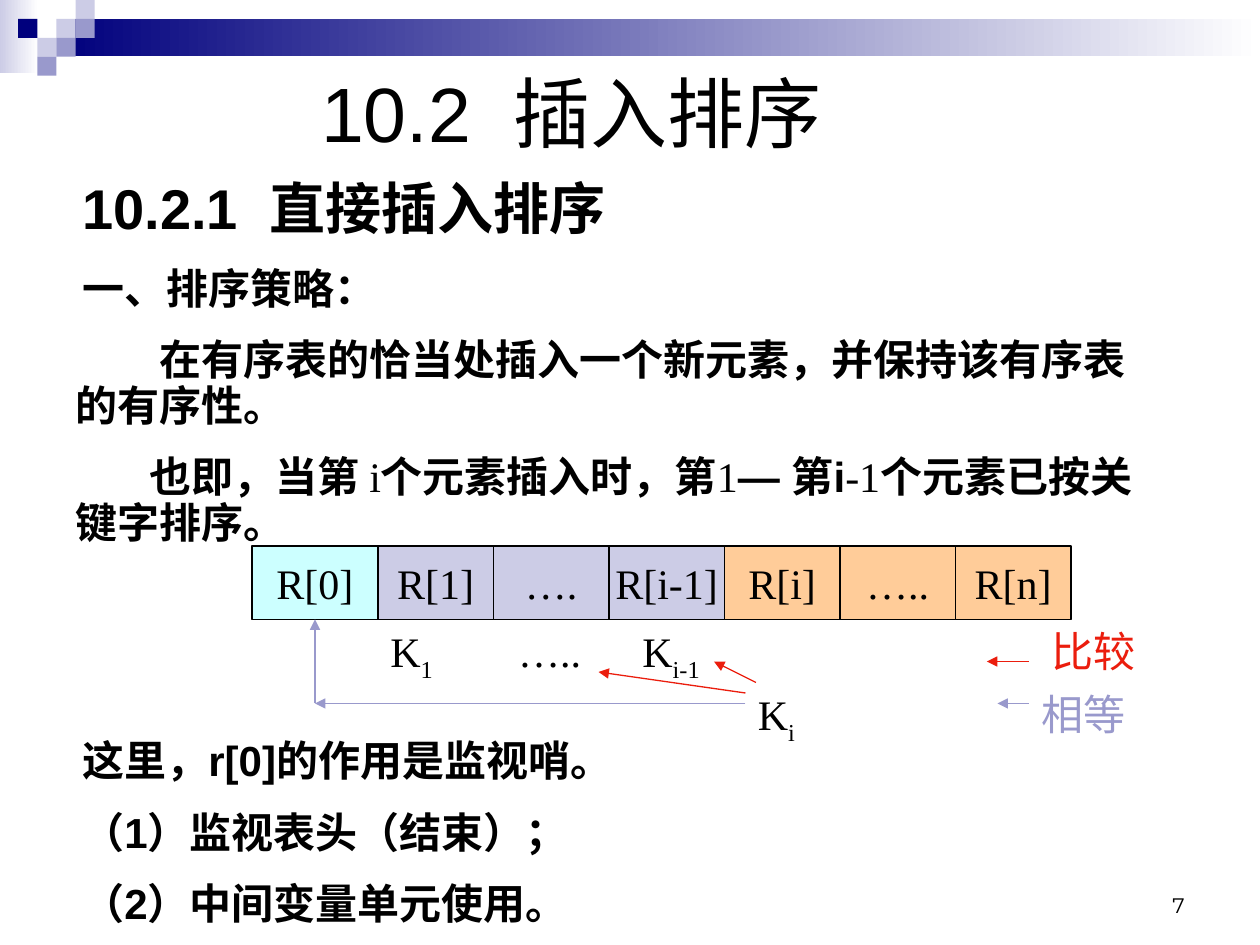
from dataclasses import dataclass

from lxml.etree import SubElement
from pptx import Presentation
from pptx.dml.color import RGBColor
from pptx.enum.shapes import MSO_CONNECTOR, MSO_SHAPE
from pptx.enum.text import MSO_ANCHOR, PP_ALIGN
from pptx.oxml.ns import qn
from pptx.util import Pt


@dataclass(frozen=True)
class Theme:
    black: str = "000000"
    white: str = "FFFFFF"
    navy: str = "00007D"
    violet: str = "9999CC"
    lilac: str = "CCCCE6"
    cyan: str = "CCFFFF"
    orange: str = "FFCC99"
    red: str = "EB1D0D"
    sans: str = "Arial"
    serif: str = "Times New Roman"
    number_font: str = "Montserrat"
    title: int = 44
    heading: int = 32
    body: int = 24
    number: int = 12


theme = Theme()
deck = Presentation()
deck.slide_width, deck.slide_height = Pt(720), Pt(540)
page = deck.slides.add_slide(deck.slide_layouts[6])


def write(frame, *pieces, size=theme.body, font=theme.serif, colour=theme.black,
          bold=False, align=PP_ALIGN.LEFT, anchor=MSO_ANCHOR.TOP, wrap=True,
          before=0, spacing=1.0, indent=0):
    """Add a paragraph; a piece is a text, or a pair of text and "sub" or "serif"."""
    frame.word_wrap, frame.vertical_anchor = wrap, anchor
    para = frame.add_paragraph() if frame.text else frame.paragraphs[0]
    para.alignment, para.space_before, para.line_spacing = align, Pt(before), spacing
    para._p.get_or_add_pPr().set("indent", str(Pt(indent)))
    for piece in pieces:
        text, kind = (piece, None) if isinstance(piece, str) else piece
        span = para.add_run()
        span.text = text
        span.font.size = Pt(size)
        span.font.name = theme.serif if kind == "serif" else font
        span.font.bold = bold and kind != "serif"
        span.font.color.rgb = RGBColor.from_string(colour)
        if kind == "sub":
            span._r.get_or_add_rPr().set("baseline", "-25000")


def add_block(left, top, width, height, *colours):
    """Add a rectangle: one colour fills it, two fade from right to left."""
    block = page.shapes.add_shape(
        MSO_SHAPE.RECTANGLE, Pt(left), Pt(top), Pt(width), Pt(height))
    block.shadow.inherit = False
    block.line.fill.background()
    if len(colours) == 1:
        block.fill.solid()
        block.fill.fore_color.rgb = RGBColor.from_string(colours[0])
    else:
        block.fill.gradient()
        block.fill.gradient_angle = 180
        for stop, colour in zip(block.fill.gradient_stops, colours):
            stop.color.rgb = RGBColor.from_string(colour)
    return block


# Header band with its checkered corner
add_block(0, 0, 22, 42, theme.white, theme.lilac)
add_block(32.5, 10.8, 687.5, 21.5, theme.white, theme.navy)
for column, row, colour in [
    (2, 1, theme.lilac), (3, 0, theme.lilac), (3, 1, theme.violet),
    (1, 2, theme.lilac), (0, 1, theme.navy), (2, 2, theme.violet),
    (1, 3, theme.violet),
]:
    add_block(10.4 + 10.95 * column, 10.8 * row, 10.95, 10.8, colour)

# Title
title = page.shapes.add_textbox(Pt(176.4), Pt(37.5), Pt(543.6), Pt(53)).text_frame
write(title, "10.2  插入排序", size=theme.title, font=theme.sans,
      anchor=MSO_ANCHOR.MIDDLE)

# Strategy above the array, sentinel notes below it
body = dict(font=theme.sans, bold=True, before=15, spacing=0.9)
strategy = page.shapes.add_textbox(Pt(36), Pt(100), Pt(635), Pt(212)).text_frame
write(strategy, "10.2.1  直接插入排序", size=theme.heading, indent=4, **body)
write(strategy, "一、排序策略：", indent=4, **body)
write(strategy, "在有序表的恰当处插入一个新元素，并保持该有序表的有序性。",
      indent=48, **body)
write(strategy, "也即，当第 ", ("i", "serif"), "个元素插入时，第", ("1", "serif"),
      "— 第i", ("-1", "serif"), "个元素已按关键字排序。", indent=42.5, **body)

notes = page.shapes.add_textbox(Pt(36), Pt(419.5), Pt(635), Pt(115)).text_frame
for line in ["这里，r[0]的作用是监视哨。", "（1）监视表头（结束）；", "（2）中间变量单元使用。"]:
    write(notes, line, indent=4, **body)

# Array of records: sentinel, sorted part, unsorted part
cells = []
left = 144
for label, width, colour in [
    ("R[0]", 72, theme.cyan),
    ("R[1]", 66, theme.lilac), ("….", 66, theme.lilac), ("R[i-1]", 66, theme.lilac),
    ("R[i]", 66, theme.orange), ("…..", 66, theme.orange), ("R[n]", 66, theme.orange),
]:
    cell = add_block(left, 312, width, 42, colour)
    cell.line.color.rgb = RGBColor.from_string(theme.black)
    cell.line.width = Pt(0.75)
    write(cell.text_frame, label, align=PP_ALIGN.CENTER,
          anchor=MSO_ANCHOR.MIDDLE, wrap=False)
    cells.append(cell)
    left += width
sentinel = cells[0]

# Keys and legend words
for left, top, width, height, pieces, colour in [
    (216, 354, 60, 40, ["K", ("1", "sub")], theme.black),
    (289, 354, 60, 40, ["….."], theme.black),
    (360, 354, 60, 40, ["K", ("i-1", "sub")], theme.black),
    (426, 390, 42, 40, ["K", ("i", "sub")], theme.black),
    (594, 354, 78, 36, ["比较"], theme.red),
    (588, 390, 78, 36, ["相等"], theme.violet),
]:
    box = page.shapes.add_textbox(Pt(left), Pt(top), Pt(width), Pt(height))
    write(box.text_frame, *pieces, before=15, colour=colour)

# Arrows: comparisons in red, equality in violet
for start_x, start_y, end_x, end_y, colour, target in [
    (432, 390, 408, 378, theme.red, None),
    (426, 396, 342, 384, theme.red, None),
    (426, 402, 180, 402, theme.violet, None),
    (180, 402, 180, 354, theme.violet, sentinel),
    (588, 378, 564, 378, theme.red, None),
    (588, 402, 570, 402, theme.violet, None),
]:
    arrow = page.shapes.add_connector(
        MSO_CONNECTOR.STRAIGHT, Pt(start_x), Pt(start_y), Pt(end_x), Pt(end_y))
    if target is not None:
        arrow.end_connect(target, 2)
    arrow.line.color.rgb = RGBColor.from_string(colour)
    arrow.line.width = Pt(0.75)
    SubElement(arrow.line._get_or_add_ln(), qn("a:tailEnd"), type="triangle")
    SubElement(arrow._element.spPr, qn("a:effectLst"))

# Page number
number = page.shapes.add_textbox(Pt(516), Pt(492), Pt(168), Pt(36)).text_frame
write(number, "7", size=theme.number, font=theme.number_font,
      align=PP_ALIGN.RIGHT, anchor=MSO_ANCHOR.BOTTOM)

deck.save("out.pptx")
